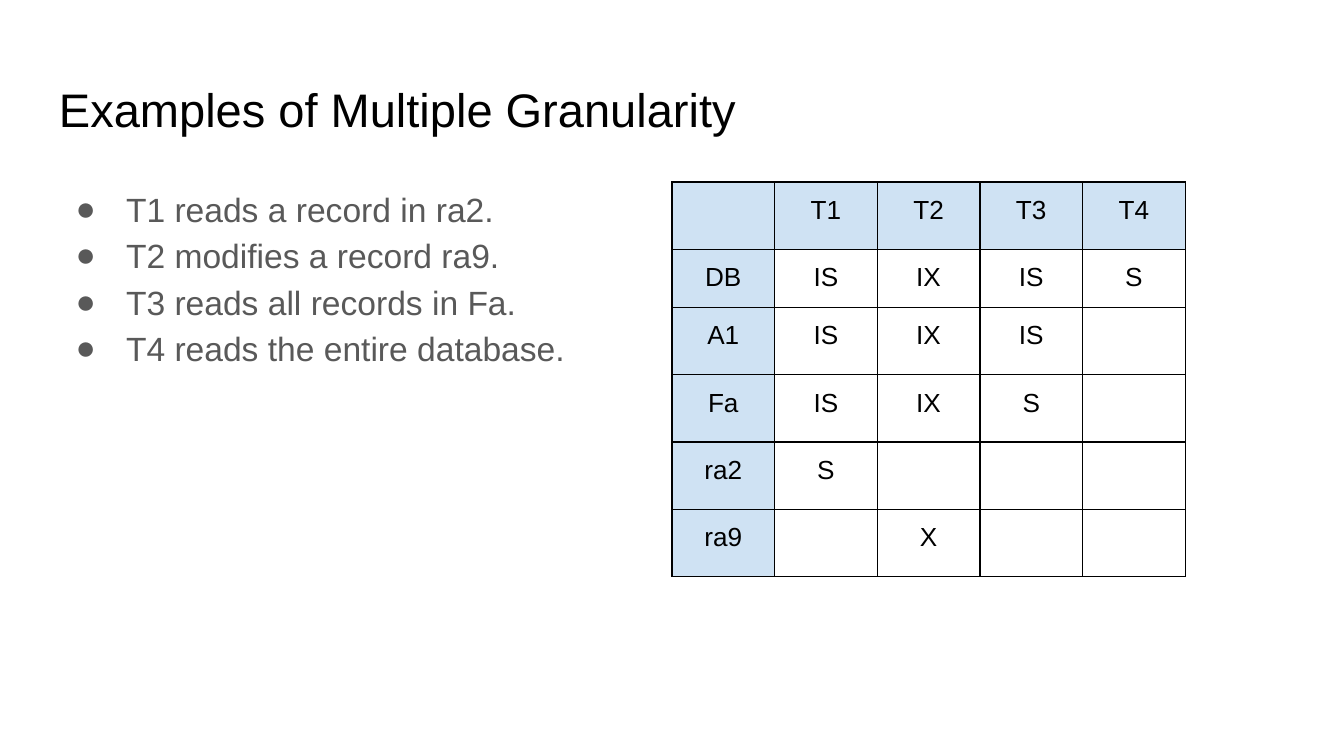
from lxml.etree import SubElement
from pptx import Presentation
from pptx.dml.color import RGBColor
from pptx.enum.text import MSO_ANCHOR, PP_ALIGN
from pptx.oxml import parse_xml
from pptx.oxml.ns import nsdecls, qn
from pptx.util import Pt

BLACK = RGBColor(0x00, 0x00, 0x00)
GRAY = RGBColor(0x59, 0x59, 0x59)
PALE_BLUE = RGBColor(0xCF, 0xE2, 0xF3)
FONT = "Arial"
INSET = Pt(7.2)

READS = [
    "T1 reads a record in ra2.",
    "T2 modifies a record ra9.",
    "T3 reads all records in Fa.",
    "T4 reads the entire database.",
]
LOCKS = [
    ["", "T1", "T2", "T3", "T4"],
    ["DB", "IS", "IX", "IS", "S"],
    ["A1", "IS", "IX", "IS", ""],
    ["Fa", "IS", "IX", "S", ""],
    ["ra2", "S", "", "", ""],
    ["ra9", "", "X", "", ""],
]


def set_insets(target):
    target.margin_left = target.margin_right = INSET
    target.margin_top = target.margin_bottom = INSET


def add_run(p, text, size, color):
    r = p.add_run()
    r.text = text
    r.font.name = FONT
    r.font.size = Pt(size)
    r.font.color.rgb = color


def add_text_frame(s, box, anchor):
    tf = s.shapes.add_textbox(*box).text_frame
    tf.word_wrap = True
    tf.vertical_anchor = anchor
    set_insets(tf)
    return tf


def add_title(s, box, text):
    tf = add_text_frame(s, box, MSO_ANCHOR.BOTTOM)
    add_run(tf.paragraphs[0], text, 25.2, BLACK)


def set_bullet(p):
    pPr = p._p.get_or_add_pPr()
    pPr.set("marL", str(Pt(36)))
    pPr.set("indent", str(Pt(-27)))
    color = SubElement(pPr, qn("a:buClr"))
    SubElement(color, qn("a:srgbClr"), val=str(GRAY))
    SubElement(pPr, qn("a:buSzPts"), val="1800")
    SubElement(pPr, qn("a:buFont"), typeface=FONT)
    SubElement(pPr, qn("a:buChar"), char="●")


def add_bullets(s, box, items):
    tf = add_text_frame(s, box, MSO_ANCHOR.TOP)
    for i, item in enumerate(items):
        p = tf.add_paragraph() if i else tf.paragraphs[0]
        p.line_spacing = 1.15
        set_bullet(p)
        add_run(p, item, 18, GRAY)


def set_borders(cell):
    """Put the four lines ahead of the fill, as the schema requires."""
    tcPr = cell._tc.get_or_add_tcPr()
    for i, side in enumerate(("lnL", "lnR", "lnT", "lnB")):
        tcPr.insert(i, parse_xml(
            f'<a:{side} {nsdecls("a")} w="{Pt(0.75)}"><a:solidFill>'
            f'<a:srgbClr val="{BLACK}"/></a:solidFill></a:{side}>'))


def add_lock_table(s, box, rows):
    """Lock modes by object and transaction; the first data row is lower."""
    left, top, width, height = box
    table = s.shapes.add_table(len(rows), len(rows[0]), *box).table
    table.horz_banding = False
    for col in table.columns:
        col.width = width // len(rows[0])
    low = Pt(31)
    for i, row in enumerate(table.rows):
        row.height = low if i == 1 else (height - low) // (len(rows) - 1)
    for i, row in enumerate(rows):
        for j, text in enumerate(row):
            cell = table.cell(i, j)
            set_insets(cell)
            if i == 0 or j == 0:
                cell.fill.solid()
                cell.fill.fore_color.rgb = PALE_BLUE
            else:
                cell.fill.background()
            set_borders(cell)
            p = cell.text_frame.paragraphs[0]
            p.alignment = PP_ALIGN.CENTER
            if text:
                add_run(p, text, 14, BLACK)


def main():
    prs = Presentation()
    prs.slide_width, prs.slide_height = Pt(720), Pt(405)
    s = prs.slides.add_slide(prs.slide_layouts[6])
    add_title(s, (Pt(24.5), Pt(35), Pt(671), Pt(45.5)),
              "Examples of Multiple Granularity")
    add_bullets(s, (Pt(24.5), Pt(90.75), Pt(312.5), Pt(269)), READS)
    add_lock_table(s, (Pt(360), Pt(97.5), Pt(275), Pt(203.5)), LOCKS)
    prs.save("out.pptx")


if __name__ == "__main__":
    main()
